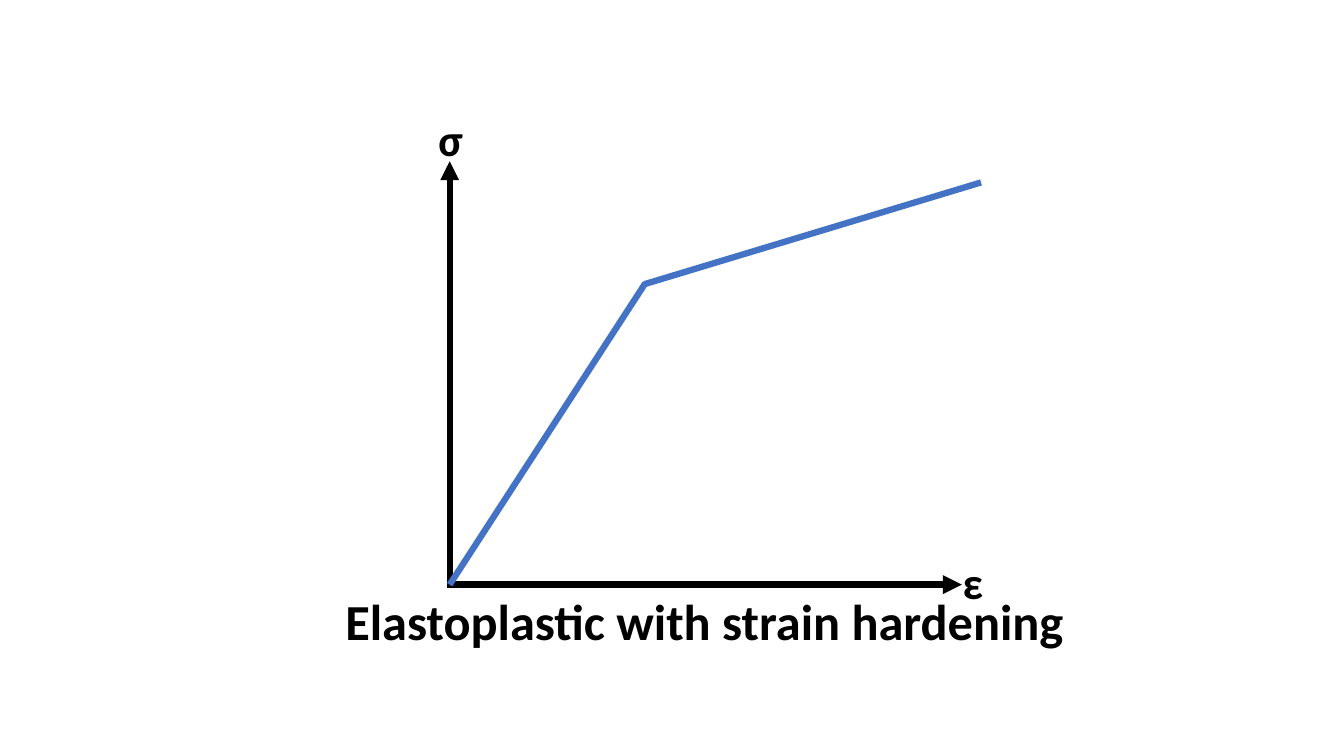
from dataclasses import dataclass

from lxml.etree import SubElement
from pptx import Presentation
from pptx.dml.color import RGBColor
from pptx.enum.shapes import MSO_CONNECTOR
from pptx.enum.text import PP_ALIGN
from pptx.oxml.ns import qn
from pptx.util import Inches, Pt


@dataclass(frozen=True)
class Theme:
    font: str = "Calibri"
    ink: RGBColor = RGBColor(0x00, 0x00, 0x00)
    curve: RGBColor = RGBColor(0x44, 0x72, 0xC4)
    symbol_size: int = 32
    caption_size: int = 36
    line_width: float = 4.5


THEME = Theme()


def add_line(slide, start, end, color, arrow=False):
    points = [Inches(length) for length in (*start, *end)]
    connector = slide.shapes.add_connector(MSO_CONNECTOR.STRAIGHT, *points)
    connector.line.color.rgb = color
    connector.line.width = Pt(THEME.line_width)
    if arrow:
        SubElement(connector.line._get_or_add_ln(), qn("a:tailEnd"), type="triangle")
    SubElement(connector._element.spPr, qn("a:effectLst"))


def add_label(slide, text, box, size, alignment=PP_ALIGN.LEFT):
    shape = slide.shapes.add_textbox(*[Inches(length) for length in box])
    shape.text_frame.word_wrap = True
    paragraph = shape.text_frame.paragraphs[0]
    paragraph.text = text
    paragraph.alignment = alignment
    paragraph.font.name = THEME.font
    paragraph.font.size = Pt(size)
    paragraph.font.bold = True
    paragraph.font.color.rgb = THEME.ink


def add_stress_strain_diagram(slide, left, top, width, height):
    """Draw the diagram in a box whose lower left corner is the origin."""
    bottom = top + height
    origin = (left, bottom)

    # Axes; the strain axis starts early to close the corner
    add_line(slide, origin, (left, top), THEME.ink, arrow=True)
    add_line(slide, (left - 0.03, bottom), (left + width, bottom), THEME.ink, arrow=True)

    # Axis symbols
    add_label(slide, "σ", (left - 0.21, top - 0.54, 0.89, 0.64), THEME.symbol_size)
    add_label(slide, "ε", (left + width - 0.09, bottom - 0.35, 0.89, 0.64),
              THEME.symbol_size)

    # Elastic branch, then strain hardening; the ends overlap at the yield point
    yield_point = (left + 1.94, bottom - 2.99)
    hardening_start = (left + 1.93, bottom - 2.98)
    add_line(slide, origin, yield_point, THEME.curve)
    add_line(slide, hardening_start, (left + 5.27, bottom - 3.99), THEME.curve)

    # Caption
    add_label(slide, "Elastoplastic with strain hardening",
              (left - 1.45, bottom + 0.01, 7.96, 0.71),
              THEME.caption_size, PP_ALIGN.CENTER)


def main():
    presentation = Presentation()
    presentation.slide_width = Inches(13.33)
    presentation.slide_height = Inches(7.5)
    slide = presentation.slides.add_slide(presentation.slide_layouts[6])
    add_stress_strain_diagram(slide, left=4.46, top=1.6, width=5.08, height=4.2)
    presentation.save("out.pptx")


if __name__ == "__main__":
    main()
